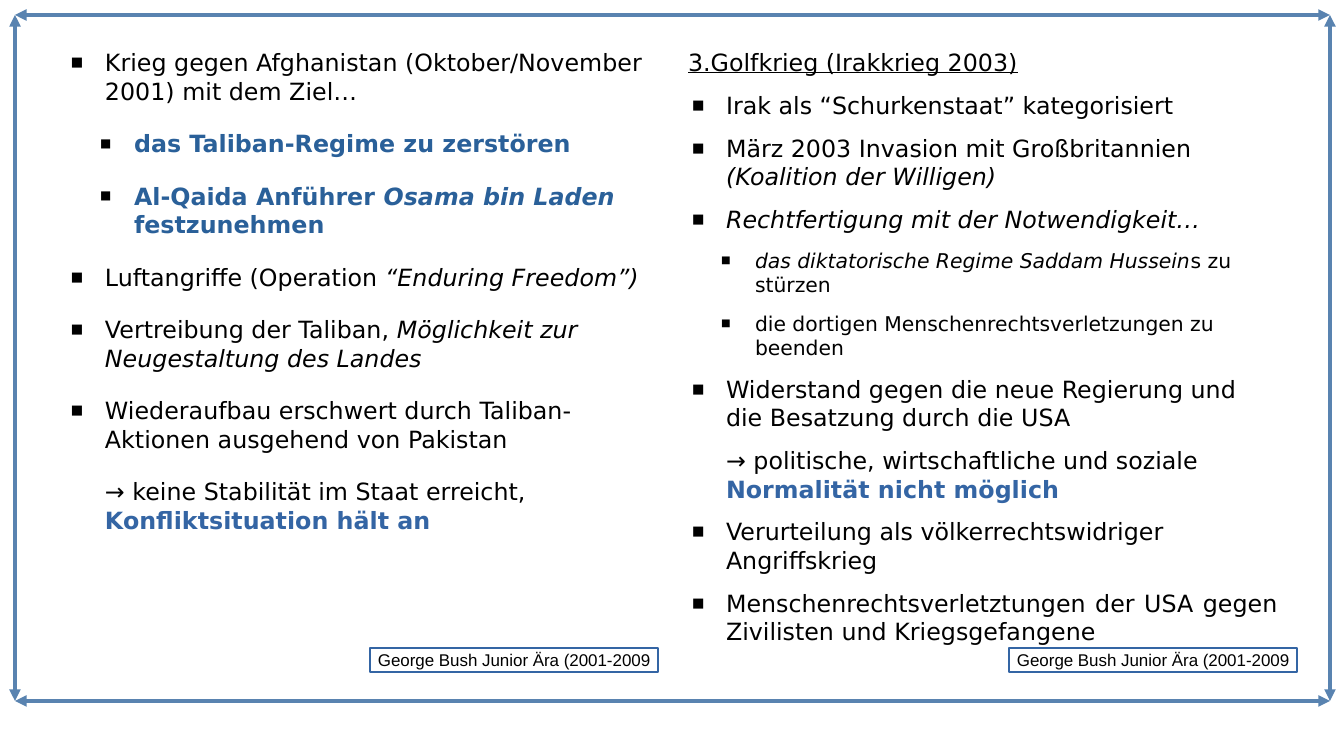
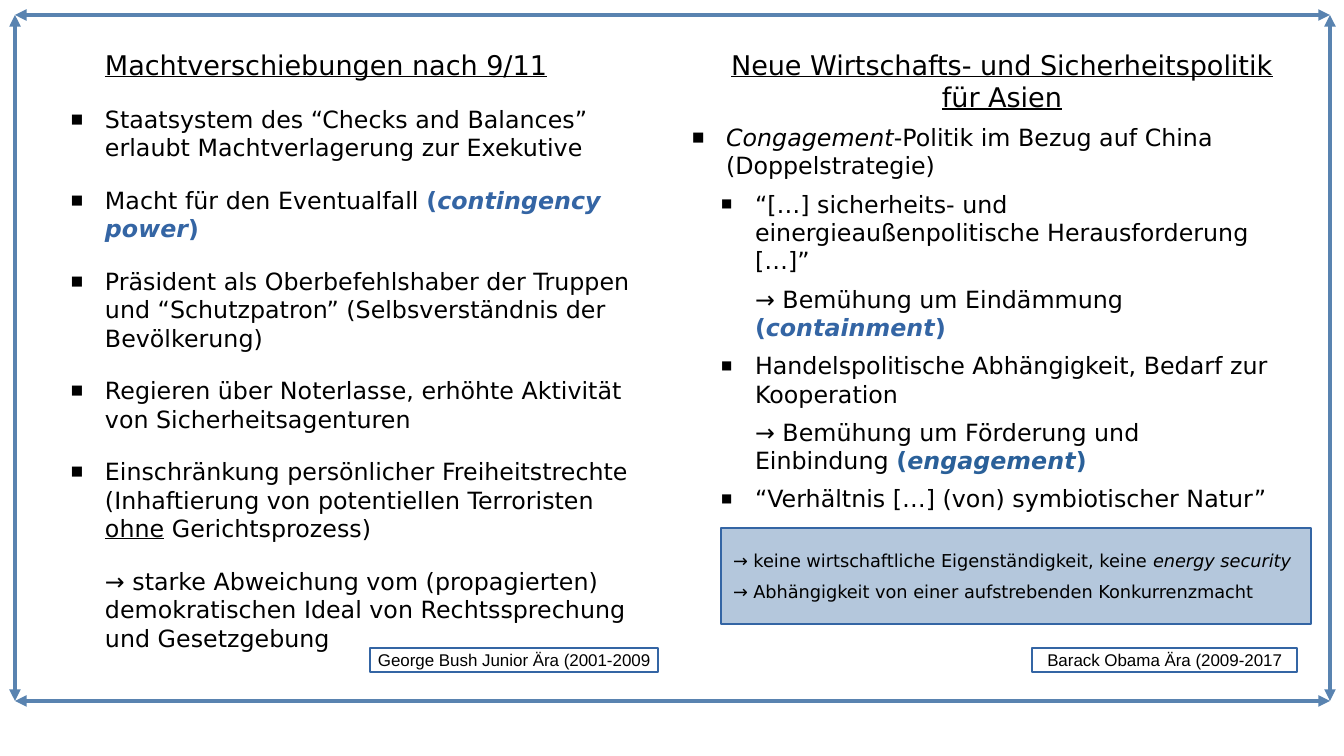
from dataclasses import dataclass

from lxml.etree import SubElement
from pptx import Presentation
from pptx.dml.color import RGBColor
from pptx.enum.shapes import MSO_CONNECTOR as Connector, MSO_SHAPE as Shape
from pptx.enum.text import MSO_ANCHOR as Anchor, MSO_AUTO_SIZE as AutoSize, PP_ALIGN as Align
from pptx.oxml.ns import qn
from pptx.util import Emu, Pt

PX = 7495
SLIDE = (1344, 756)
FRAME = (15, 15, 1330, 701)
COLUMNS = {1: (67, 48, 590, 625), 2: (688, 48, 590, 625)}
TAG_TOP, TAG_HEIGHT = 648, 24
TAG_RIGHTS = (658, 1297)
CALLOUT = (721, 528, 590, 96)

COLORS = {
    "text": "000000",
    "frame": "5983B0",
    "outline": "3465A4",
    "accent": "3465A4",
    "deep": "2A6099",
    "tag": "FFFFFF",
    "callout": "B4C7DC",
}
BODY_FONT, TAG_FONT = "DejaVu Sans", "Arial"

# level, left indent, hanging indent (px), bullet size in percent
INDENTS = {
    "plain": (0, 0, 0, None),
    "bullet": (0, 38, 34, 55),
    "follow": (0, 38, 0, None),
    "sub": (1, 67, 34, 50),
    "subfollow": (1, 67, 0, None),
}


@dataclass
class Line:
    """Runs are plain strings or (text, flags, colour); flags are b, i and u."""
    kind: str
    runs: list
    size: float = 14
    align: Align = Align.LEFT


def px(length):
    return Emu(length * PX)


def rgb(name):
    return RGBColor.from_string(COLORS[name])


def add_bullet(paragraph, percent):
    properties = paragraph._p.get_or_add_pPr()
    if percent is None:
        SubElement(properties, qn("a:buNone"))
        return
    color = SubElement(properties, qn("a:buClr"))
    SubElement(color, qn("a:srgbClr"), val=COLORS["text"])
    SubElement(properties, qn("a:buSzPct"), val=str(percent * 1000))
    SubElement(properties, qn("a:buFont"), typeface=BODY_FONT)
    SubElement(properties, qn("a:buChar"), char="■")


def write_lines(frame, lines, space):
    for number, line in enumerate(lines):
        paragraph = frame.add_paragraph() if number else frame.paragraphs[0]
        level, left, hang, percent = INDENTS[line.kind]
        paragraph.level = level
        paragraph.alignment = line.align
        paragraph.space_before = Pt(space if number else 0)
        properties = paragraph._p.get_or_add_pPr()
        properties.set("marL", str(px(left)))
        properties.set("indent", str(px(-hang)))
        add_bullet(paragraph, percent)
        for part in line.runs:
            text, flags, color = (part, "", "text") if isinstance(part, str) else part
            run = paragraph.add_run()
            run.text = text
            font = run.font
            font.name, font.size = BODY_FONT, Pt(line.size)
            font.bold, font.italic, font.underline = (flag in flags for flag in "biu")
            font.color.rgb = rgb(color)


def fill_column(slide, index, lines, space):
    column = slide.placeholders[index]
    column.left, column.top, column.width, column.height = map(px, COLUMNS[index])
    frame = column.text_frame
    frame.word_wrap, frame.auto_size = True, AutoSize.NONE
    frame.vertical_anchor = Anchor.TOP
    frame.margin_left = frame.margin_right = frame.margin_top = frame.margin_bottom = 0
    write_lines(frame, lines, space)


def add_panel(slide, box, fill):
    panel = slide.shapes.add_shape(Shape.RECTANGLE, *map(px, box))
    panel.shadow.inherit = False
    panel.fill.solid()
    panel.fill.fore_color.rgb = rgb(fill)
    panel.line.color.rgb = rgb("outline")
    panel.line.width = Pt(0)
    panel.text_frame.vertical_anchor = Anchor.MIDDLE
    return panel.text_frame


def add_tag(slide, right, text, width):
    """Era label, aligned by its right edge."""
    frame = add_panel(slide, (right - width, TAG_TOP, width, TAG_HEIGHT), "tag")
    frame.word_wrap = False
    frame.text = text
    era = frame.paragraphs[0]
    era.alignment = Align.CENTER
    era.font.name, era.font.size = TAG_FONT, Pt(10)
    era.font.color.rgb = rgb("text")


def add_callout(slide, lines):
    frame = add_panel(slide, CALLOUT, "callout")
    frame.word_wrap = True
    write_lines(frame, lines, 5.7)


def add_frame(slide, layout, box):
    """Draws four double arrows and hands them to the layout."""
    left, top, right, bottom = box
    edges = [(left, top, left, bottom), (right, top, right, bottom),
             (left, top, right, top), (right, bottom, left, bottom)]
    for number, edge in enumerate(edges):
        arrow = slide.shapes.add_connector(Connector.STRAIGHT, *map(px, edge))
        arrow.line.color.rgb = rgb("frame")
        arrow.line.width = Pt(2.3)
        properties = arrow.element.spPr
        for end in ("a:headEnd", "a:tailEnd"):
            SubElement(properties.find(qn("a:ln")), qn(end), type="triangle")
        SubElement(properties, qn("a:effectLst"))
        arrow.element.nvCxnSpPr.cNvPr.set("id", str(100 + number))
        layout.shapes.element.append(arrow.element)


def prepare_layout(layout):
    """Keeps only the two columns of the layout."""
    for holder in list(layout.placeholders):
        index = holder.placeholder_format.idx
        if index in COLUMNS:
            holder.left, holder.top, holder.width, holder.height = map(px, COLUMNS[index])
        else:
            layout.shapes.element.remove(holder.element)


def accented(word, color="accent"):
    return [("(", "b", color), (word, "bi", color), (")", "b", color)]


AFGHANISTAN = [
    Line("bullet", ["Krieg gegen Afghanistan (Oktober/November 2001) mit dem Ziel…"]),
    Line("sub", [("das Taliban-Regime zu zerstören", "b", "deep")]),
    Line("sub", [("Al-Qaida Anführer ", "b", "deep"), ("Osama bin Laden", "bi", "deep"),
                 (" festzunehmen", "b", "deep")]),
    Line("bullet", ["Luftangriffe (Operation ", ("“Enduring Freedom”)", "i", "text")]),
    Line("bullet", ["Vertreibung der Taliban, ",
                    ("Möglichkeit zur Neugestaltung des Landes", "i", "text")]),
    Line("bullet", ["Wiederaufbau erschwert durch Taliban-Aktionen ausgehend von Pakistan"]),
    Line("follow", ["→ keine Stabilität im Staat erreicht, ",
                    ("Konfliktsituation hält an", "b", "accent")]),
]
IRAQ = [
    Line("plain", [("3.Golfkrieg (Irakkrieg 2003)", "u", "text")]),
    Line("bullet", ["Irak als “Schurkenstaat” kategorisiert"]),
    Line("bullet", ["März 2003 Invasion mit Großbritannien ",
                    ("(Koalition der Willigen)", "i", "text")]),
    Line("bullet", [("Rechtfertigung mit der Notwendigkeit…", "i", "text")]),
    Line("sub", [("das diktatorische Regime Saddam Hussein", "i", "text"), "s zu stürzen"], 12),
    Line("sub", ["die dortigen Menschenrechtsverletzungen zu beenden"], 12),
    Line("bullet", ["Widerstand gegen die neue Regierung und die Besatzung durch die USA"]),
    Line("follow", ["→ politische, wirtschaftliche und soziale ",
                    ("Normalität nicht möglich", "b", "accent")]),
    Line("bullet", ["Verurteilung als völkerrechtswidriger Angriffskrieg"]),
    Line("bullet", ["Menschenrechtsverletztungen der USA gegen Zivilisten und Kriegsgefangene"],
         align=Align.JUSTIFY),
]
POWER_SHIFT = [
    Line("follow", [("Machtverschiebungen nach 9/11", "u", "text")], 16),
    Line("bullet", ["Staatsystem des “Checks and Balances” erlaubt Machtverlagerung zur Exekutive"]),
    Line("bullet", ["Macht für den Eventualfall ", *accented("contingency power")]),
    Line("bullet", ["Präsident als Oberbefehlshaber der Truppen und “Schutzpatron” "
                    "(Selbsverständnis der Bevölkerung)"]),
    Line("bullet", ["Regieren über Noterlasse, erhöhte Aktivität von Sicherheitsagenturen"]),
    Line("bullet", ["Einschränkung persönlicher Freiheitstrechte (Inhaftierung von potentiellen "
                    "Terroristen ", ("ohne", "u", "text"), " Gerichtsprozess)"]),
    Line("follow", ["→ starke Abweichung vom (propagierten) demokratischen Ideal von "
                    "Rechtssprechung und Gesetzgebung"]),
]
ASIA = [
    Line("follow", [("Neue Wirtschafts- und Sicherheitspolitik für Asien", "u", "text")],
         16, Align.CENTER),
    Line("bullet", [("Congagement", "i", "text"),
                    "-Politik im Bezug auf China (Doppelstrategie)"]),
    Line("sub", ["“[…] sicherheits- und einergieaußenpolitische Herausforderung […]”"]),
    Line("subfollow", ["→ Bemühung um Eindämmung ", *accented("containment")]),
    Line("sub", ["Handelspolitische Abhängigkeit, Bedarf zur Kooperation"]),
    Line("subfollow", ["→ Bemühung um Förderung und Einbindung ",
                       *accented("engagement", "deep")]),
    Line("sub", ["“Verhältnis […] (von) symbiotischer Natur”"]),
]
DEPENDENCE = [
    Line("plain", ["→ keine wirtschaftliche Eigenständigkeit, keine ",
                   ("energy security", "i", "text")], 10.5),
    Line("plain", ["→ Abhängigkeit von einer aufstrebenden Konkurrenzmacht"], 10.5),
]
BUSH = ("George Bush Junior Ära (2001-2009", 288)
OBAMA = ("Barack Obama Ära (2009-2017", 265)


def add_columns_slide(deck, layout, columns, spaces, eras):
    slide = deck.slides.add_slide(layout)
    for index, lines, space in zip(COLUMNS, columns, spaces):
        fill_column(slide, index, lines, space)
    for right, era in zip(TAG_RIGHTS, eras):
        add_tag(slide, right, *era)
    return slide


def main():
    deck = Presentation()
    deck.slide_width, deck.slide_height = map(px, SLIDE)
    layout = deck.slide_layouts[3]
    prepare_layout(layout)
    wars = add_columns_slide(deck, layout, (AFGHANISTAN, IRAQ), (14.2, 8.5), (BUSH, BUSH))
    add_frame(wars, layout, FRAME)
    shifts = add_columns_slide(deck, layout, (POWER_SHIFT, ASIA), (14.2, 5.7), (BUSH, OBAMA))
    add_callout(shifts, DEPENDENCE)
    deck.save("out.pptx")


if __name__ == "__main__":
    main()
